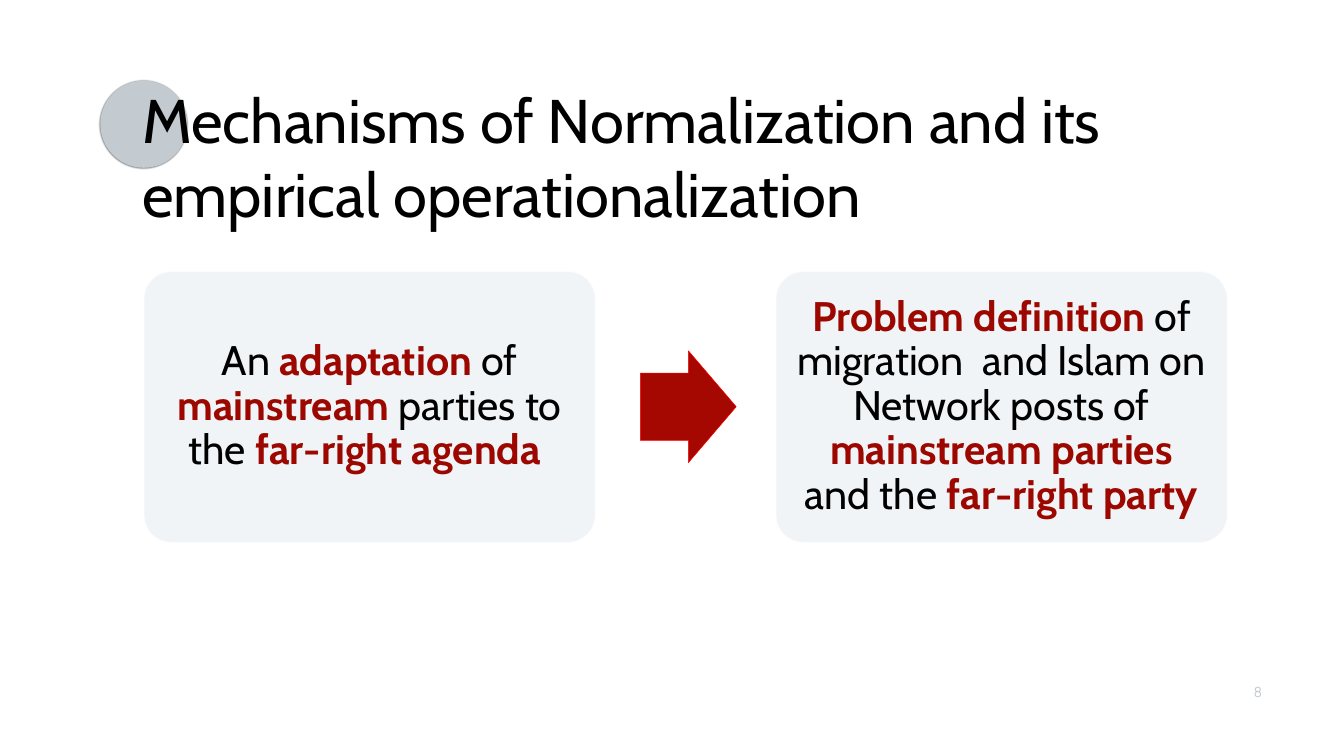
from dataclasses import dataclass

from lxml import etree
from pptx import Presentation, util as u
from pptx.dml.color import RGBColor
from pptx.enum import shapes, text
from pptx.oxml.ns import qn

PX = u.Inches(1) // 100  # 100 px to the inch


@dataclass(frozen=True)
class Theme:
    ink: str = "000000"
    accent: str = "9C0700"
    muted: str = "C3CBD0"
    card: str = "F0F4F7"
    card_edge: str = "FDFCFF"
    arrow: str = "A40800"
    arrow_edge: str = "FF0000"
    font: str = "Cabin"
    number_font: str = "Manrope"
    title_size: int = 88
    body_size: int = 59
    number_size: int = 20


def rgb(value):
    return RGBColor.from_string(value)


def write(frame, runs, *, size, font, color, accent=None, inset=4,
          align=text.PP_ALIGN.LEFT, anchor=text.MSO_ANCHOR.MIDDLE, spacing=None):
    """Fill a text frame with (wording, is_key) runs; key runs are bold accent."""
    frame.word_wrap = True
    frame.auto_size = text.MSO_AUTO_SIZE.NONE
    frame.vertical_anchor = anchor
    frame.margin_left = frame.margin_right = inset * PX
    frame.margin_top = frame.margin_bottom = inset * PX
    paragraph = frame.paragraphs[0]
    paragraph.alignment = align
    if spacing:
        paragraph.line_spacing = spacing
    for wording, is_key in runs:
        run = paragraph.add_run()
        run.text = wording
        run.font.size = u.Pt(size)
        run.font.name = font
        run.font.bold = is_key
        run.font.color.rgb = rgb(accent if is_key else color)


class Deck:
    def __init__(self, theme, width, height):
        self.theme = theme
        self.file = Presentation()
        self.file.slide_width, self.file.slide_height = width * PX, height * PX
        self.slide = self.file.slides.add_slide(self.file.slide_layouts[5])

    def shape(self, kind, box, fill, edge=None, edge_width=1):
        item = self.slide.shapes.add_shape(kind, *(v * PX for v in box))
        item.shadow.inherit = False
        item.fill.solid()
        item.fill.fore_color.rgb = rgb(fill)
        if edge:
            item.line.color.rgb = rgb(edge)
            item.line.width = u.Pt(edge_width)
        else:
            item.line.fill.background()
        return item

    def dot(self, box):
        """Title ornament with a soft, centred shadow."""
        circle = self.shape(shapes.MSO_SHAPE.OVAL, box, self.theme.muted)
        effects = circle.element.spPr.find(qn("a:effectLst"))
        shadow = etree.SubElement(effects, qn("a:outerShdw"),
                                  blurRad=str(u.Pt(2)), dist="0", dir="0")
        color = etree.SubElement(shadow, qn("a:srgbClr"), val=self.theme.ink)
        etree.SubElement(color, qn("a:alpha"), val="50000")

    def title(self, wording, box):
        """Place the title in front of everything drawn so far."""
        heading = self.slide.shapes.title
        heading.left, heading.top, heading.width, heading.height = (v * PX for v in box)
        heading.element.getparent().append(heading.element)
        write(heading.text_frame, [(wording, False)], size=self.theme.title_size,
              font=self.theme.font, color=self.theme.ink)

    def card(self, runs, box):
        panel = self.shape(shapes.MSO_SHAPE.ROUNDED_RECTANGLE, box,
                           self.theme.card, self.theme.card_edge)
        panel.adjustments[0] = 0.1
        write(panel.text_frame, runs, size=self.theme.body_size, font=self.theme.font,
              color=self.theme.ink, accent=self.theme.accent, inset=25,
              align=text.PP_ALIGN.CENTER, spacing=0.9)

    def arrow(self, box):
        pointer = self.shape(shapes.MSO_SHAPE.RIGHT_ARROW, box, self.theme.arrow,
                             self.theme.arrow_edge, 0.75)
        pointer.adjustments[0], pointer.adjustments[1] = 0.6, 0.5

    def page_number(self, number, box):
        label = self.slide.shapes.add_textbox(*(v * PX for v in box))
        write(label.text_frame, [(number, False)], size=self.theme.number_size,
              font=self.theme.number_font, color=self.theme.muted, inset=8,
              anchor=text.MSO_ANCHOR.TOP)


def main():
    deck = Deck(Theme(), 2667, 1500)
    deck.dot((199, 160, 173, 173))
    deck.page_number("8", (2480, 1348, 98, 44))
    deck.title("Mechanisms of Normalization and its empirical operationalization",
               (278, 190, 2103, 238))

    mechanism = [("An ", False), ("adaptation ", True), ("of ", False),
                 ("mainstream ", True), ("parties to the ", False),
                 ("far-right agenda ", True)]
    measure = [("Problem definition ", True),
               ("of migration  and Islam on Network posts of ", False),
               ("mainstream parties ", True), ("and the ", False),
               ("far-right party", True)]
    card_top, card_width, card_height = 539, 895, 537
    arrow_height = 222
    deck.card(mechanism, (286, card_top, card_width, card_height))
    deck.arrow((1271, card_top + (card_height - arrow_height) // 2, 190, arrow_height))
    deck.card(measure, (1540, card_top, card_width, card_height))
    deck.file.save("out.pptx")


if __name__ == "__main__":
    main()
